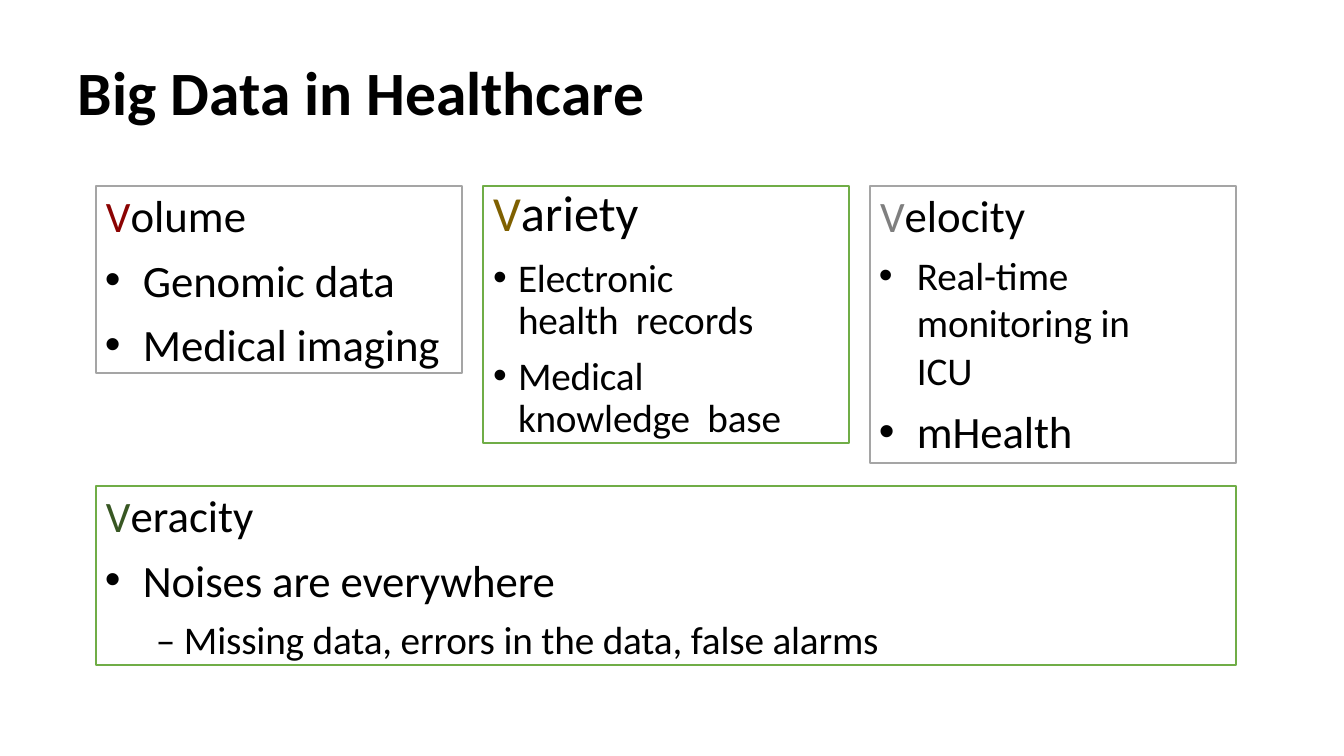
from lxml import etree
from pptx import Presentation
from pptx.dml.color import RGBColor
from pptx.enum.shapes import MSO_SHAPE
from pptx.enum.text import MSO_ANCHOR, MSO_AUTO_SIZE, PP_ALIGN
from pptx.oxml.ns import qn
from pptx.util import Pt

RECTANGLE = MSO_SHAPE.RECTANGLE
TOP, MIDDLE = MSO_ANCHOR.TOP, MSO_ANCHOR.MIDDLE
LEFT = PP_ALIGN.LEFT
NO_AUTOFIT = MSO_AUTO_SIZE.NONE

BLACK = RGBColor(0x00, 0x00, 0x00)
WHITE = RGBColor(0xFF, 0xFF, 0xFF)
GREEN = RGBColor(0x70, 0xAD, 0x47)
SILVER = RGBColor(0xA5, 0xA5, 0xA5)
DARK_RED = RGBColor(0x8B, 0x03, 0x02)
OLIVE = RGBColor(0x7F, 0x60, 0x00)
GREY = RGBColor(0x7F, 0x7F, 0x7F)
DARK_GREEN = RGBColor(0x38, 0x57, 0x23)

FONT = "Calibri"
EMU_PER_PX = 914400 / 100.8
TEXT_INSET = 10
COLUMN_LEFT, COLUMN_TOP, COLUMN_WIDTH, COLUMN_STEP = 96, 186, 366, 387
VERACITY_TOP = 486


def px(length):
    return round(length * EMU_PER_PX)


def format_paragraph(para, size, before, spacing=None, left=0, hanging=0, right=0):
    para.alignment = LEFT
    para.space_before = Pt(before)
    para.line_spacing = spacing
    properties = para._p.get_or_add_pPr()
    properties.set("marL", str(px(left)))
    properties.set("marR", str(px(right)))
    properties.set("indent", str(px(-hanging)))
    if hanging:
        etree.SubElement(properties, qn("a:buFont")).set("typeface", "Arial")
        etree.SubElement(properties, qn("a:buChar")).set("char", "•")
    para.font.name = FONT
    para.font.size = Pt(size)
    para.font.color.rgb = BLACK


deck = Presentation()
deck.slide_width, deck.slide_height = px(1344), px(756)
page = deck.slides.add_slide(deck.slide_layouts[5])

# Title
title = page.shapes.title
title.left, title.top, title.width, title.height = px(77), px(52), px(694), px(76)
frame = title.text_frame
frame.text = "Big Data in Healthcare"
frame.auto_size = NO_AUTOFIT
frame.vertical_anchor = MIDDLE
frame.margin_left = frame.margin_right = frame.margin_bottom = 0
frame.margin_top = px(1)
format_paragraph(frame.paragraphs[0], 44, 1, left=1)
frame.paragraphs[0].font.bold = True

# Boxes: column, columns spanned, top, height, line, fill, inset,
# heading (word, initial colour, size, initial size, space before, spacing), items
# Items: text, size, space before, spacing, left, hanging, right
boxes = [
    (0, 1, COLUMN_TOP, 187, SILVER, WHITE, 2,
     ("Volume", DARK_RED, 32, 31, 1.6, None),
     [("Genomic data", 32, 7.5, None, 47, 38, 0),
      ("Medical imaging", 32, 7.7, None, 47, 38, 0)]),
    (1, 1, COLUMN_TOP, 257, GREEN, WHITE, 0,
     ("Variety", OLIVE, 36, 35, 0, Pt(39.7)),
     [("Electronic health  records", 28, 12, Pt(30), 35, 25, 86),
      ("Medical knowledge  base", 28, 9.8, Pt(30), 35, 25, 48)]),
    (2, 1, COLUMN_TOP, 277, SILVER, None, 2,
     ("Velocity", GREY, 32, 31, 1.6, None),
     [("Real-time  monitoring in ICU", 28, 6.4, 1.01, 47, 38, 75),
      ("mHealth", 32, 7.5, None, 47, 38, 0)]),
    (0, 3, VERACITY_TOP, 179, GREEN, None, 2,
     ("Veracity", DARK_GREEN, 32, 31, 1.5, None),
     [("Noises are everywhere", 32, 7.7, None, 47, 38, 0),
      ("– Missing data, errors in the data, false alarms", 28, 6.7, None, 60, 0, 0)]),
]

for column, span_count, top, height, line, fill, inset, heading, items in boxes:
    left = COLUMN_LEFT + column * COLUMN_STEP
    width = COLUMN_WIDTH + (span_count - 1) * COLUMN_STEP
    box = page.shapes.add_shape(RECTANGLE, px(left), px(top), px(width), px(height))
    box.shadow.inherit = False
    box.line.color.rgb = line
    box.line.width = Pt(1)
    if fill is None:
        box.fill.background()
    else:
        box.fill.solid()
        box.fill.fore_color.rgb = fill

    frame = box.text_frame
    frame.word_wrap = True
    frame.vertical_anchor = TOP
    frame.margin_left = frame.margin_right = frame.margin_bottom = 0
    frame.margin_top = px(inset)

    # Heading with a coloured initial
    word, colour, size, initial_size, before, spacing = heading
    para = frame.paragraphs[0]
    format_paragraph(para, size, before, spacing, TEXT_INSET)
    initial = para.add_run()
    initial.text = word[0]
    initial.font.size = Pt(initial_size)
    initial.font.color.rgb = colour
    para.add_run().text = word[1:]

    # List items, set slightly tight
    for text, *layout in items:
        para = frame.add_paragraph()
        format_paragraph(para, *layout)
        span = para.add_run()
        span.text = text
        span._r.get_or_add_rPr().set("spc", "-10")

deck.save("out.pptx")
